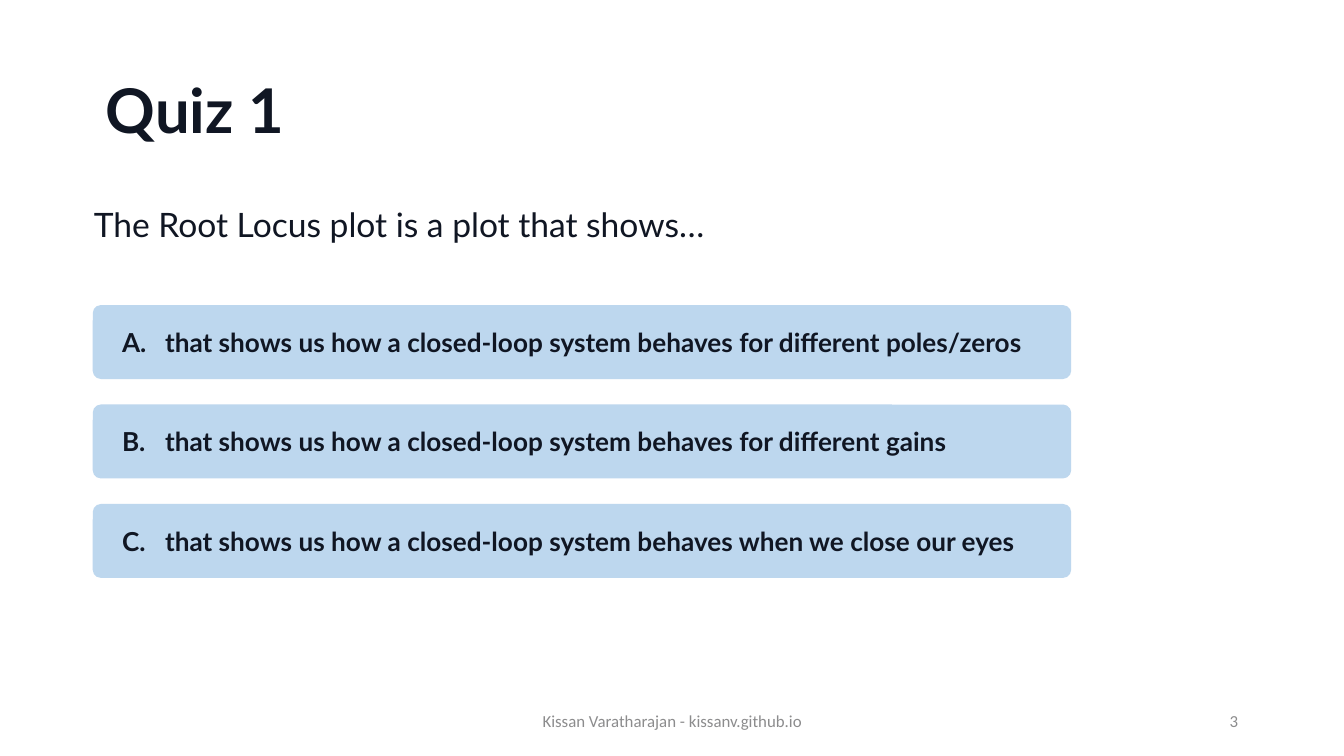
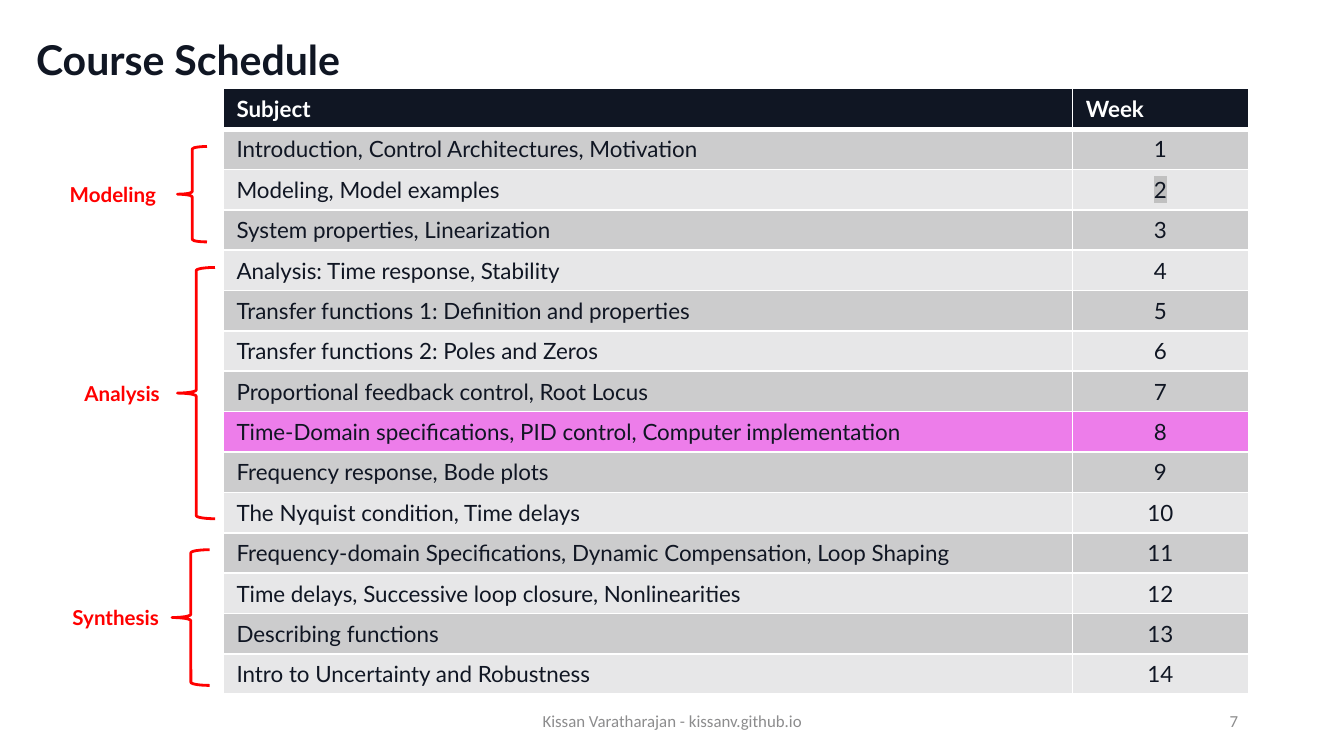
from dataclasses import dataclass

from lxml.etree import SubElement
from pptx import Presentation
from pptx.dml.color import RGBColor as Rgb
from pptx.enum.shapes import MSO_SHAPE as Preset
from pptx.enum.text import MSO_ANCHOR as Anchor, PP_ALIGN as Align
from pptx.oxml.ns import qn
from pptx.util import Inches, Pt

# Content
FOOTER = "Kissan Varatharajan - kissanv.github.io"
QUIZ = {
    "title": "Quiz 1",
    "page": 3,
    "question": "The Root Locus plot is a plot that shows…",
    "answers": [
        "that shows us how a closed-loop system behaves for different poles/zeros",
        "that shows us how a closed-loop system behaves for different gains",
        "that shows us how a closed-loop system behaves when we close our eyes",
    ],
}
SCHEDULE = {
    "title": "Course Schedule",
    "page": 7,
    "header": ("Subject", "Week"),
    "subjects": [
        "Introduction, Control Architectures, Motivation",
        "Modeling, Model examples",
        "System properties, Linearization",
        "Analysis: Time response, Stability",
        "Transfer functions 1: Definition and properties",
        "Transfer functions 2: Poles and Zeros",
        "Proportional feedback control, Root Locus",
        "Time-Domain specifications, PID control, Computer implementation",
        "Frequency response, Bode plots",
        "The Nyquist condition, Time delays",
        "Frequency-domain Specifications, Dynamic Compensation, Loop Shaping",
        "Time delays, Successive loop closure, Nonlinearities",
        "Describing functions",
        "Intro to Uncertainty and Robustness",
    ],
    "current_week": 8,
    "marked_week": 2,
    # name, first week, last week, label width, brace left, brace width, gap below brace
    "phases": [
        ("Modeling", 1, 3, 0.9, 1.32, 0.22, 0.06),
        ("Analysis", 4, 10, 0.79, 1.32, 0.28, 0.1),
        ("Synthesis", 11, 14, 0.88, 1.28, 0.28, 0.06),
    ],
}


@dataclass(frozen=True)
class Theme:
    font: str = "Lato"
    footer_font: str = "Calibri"
    ink: str = "101623"
    white: str = "FFFFFF"
    muted: str = "8C8C8D"
    answer: str = "BDD7EE"
    bands: tuple = ("E7E7E8", "CCCCCD")
    current: str = "ED7DEA"
    marker: str = "C0C0C0"
    phase: str = "FF0000"
    quiz_title: int = 33
    schedule_title: int = 22
    question: int = 18
    option: int = 14
    cell: int = 12
    label: int = 11
    footer: int = 9


THEME = Theme()
WIDTH = 10
HEIGHT = WIDTH * 9 / 16
MARGIN = 0.69


# Shared helpers
def style(paragraph, size, color=THEME.ink, bold=False, font=THEME.font, align=None):
    paragraph.alignment = align
    for run in paragraph.runs:
        run.font.name, run.font.size, run.font.bold = font, Pt(size), bold
        run.font.color.rgb = Rgb.from_string(color)


def add_text(slide, text, at, size, anchor=Anchor.MIDDLE, wrap=True, spacing=None, **look):
    frame = slide.shapes.add_textbox(*map(Inches, at)).text_frame
    frame.word_wrap = wrap
    frame.vertical_anchor = anchor
    frame.text = text
    frame.paragraphs[0].line_spacing = spacing
    style(frame.paragraphs[0], size, **look)


def add_preset(slide, preset, at):
    shape = slide.shapes.add_shape(preset, *map(Inches, at))
    shape.shadow.inherit = False
    return shape


def add_page(deck, content, title_left, title_top, title_size):
    slide = deck.slides.add_slide(deck.slide_layouts[6])
    add_text(slide, content["title"], (title_left, title_top, 8.62, 1.09),
             title_size, spacing=0.9, bold=True)
    footer = dict(size=THEME.footer, color=THEME.muted, font=THEME.footer_font)
    add_text(slide, FOOTER, (3.31, 5.21, 3.38, 0.3), align=Align.CENTER, **footer)
    add_text(slide, str(content["page"]), (WIDTH - MARGIN - 2.25, 5.21, 2.25, 0.3),
             align=Align.RIGHT, **footer)
    return slide


# Quiz slide
def add_answer(slide, index, answer):
    bar = add_preset(slide, Preset.ROUNDED_RECTANGLE,
                     (MARGIN, 2.27 + 0.74 * index, 7.28, 0.55))
    bar.adjustments[0] = 0.11
    bar.fill.solid()
    bar.fill.fore_color.rgb = Rgb.from_string(THEME.answer)
    bar.line.fill.background()
    frame = bar.text_frame
    frame.margin_left = Inches(0.2)
    frame.vertical_anchor = Anchor.MIDDLE
    frame.text = f"{'ABC'[index]}.\t{answer}"
    paragraph = frame.paragraphs[0]
    tabs = SubElement(paragraph._p.get_or_add_pPr(), qn("a:tabLst"))
    SubElement(tabs, qn("a:tab"), pos=str(Inches(0.32)), algn="l")
    style(paragraph, THEME.option, bold=True, align=Align.LEFT)


def build_quiz(deck):
    slide = add_page(deck, QUIZ, MARGIN, 0.3, THEME.quiz_title)
    add_text(slide, QUIZ["question"], (0.6, 1.5, WIDTH - 0.6, 3.57),
             THEME.question, anchor=Anchor.TOP, spacing=0.9)
    for index, answer in enumerate(QUIZ["answers"]):
        add_answer(slide, index, answer)


# Schedule slide
TABLE_LEFT, TABLE_TOP, ROW = 1.66, 0.66, 0.3
COLUMNS = (6.32, 1.31)


def add_borders(cell, week):
    weights = {"L": 1, "R": 1, "T": 3 if week == 1 else 1, "B": 3 if week == 0 else 1}
    for side, weight in weights.items():
        line = SubElement(cell._tc.get_or_add_tcPr(), qn(f"a:ln{side}"), w=str(Pt(weight)))
        SubElement(SubElement(line, qn("a:solidFill")), qn("a:srgbClr"), val=THEME.white)


def mark(run):
    properties = run._r.get_or_add_rPr()
    highlight = SubElement(properties, qn("a:highlight"))
    SubElement(highlight, qn("a:srgbClr"), val=THEME.marker)
    properties.find(qn("a:solidFill")).addnext(highlight)


def add_schedule_table(slide):
    rows = [SCHEDULE["header"]]
    rows += [(subject, str(week)) for week, subject in enumerate(SCHEDULE["subjects"], 1)]
    table = slide.shapes.add_table(
        len(rows), len(COLUMNS), Inches(TABLE_LEFT), Inches(TABLE_TOP),
        Inches(sum(COLUMNS)), Inches(ROW * len(rows))).table
    for column, width in zip(table.columns, COLUMNS):
        column.width = Inches(width)
    for week, texts in enumerate(rows):
        header = week == 0
        fill = THEME.ink if header else THEME.bands[week % 2]
        if week == SCHEDULE["current_week"]:
            fill = THEME.current
        for column, text in enumerate(texts):
            cell = table.cell(week, column)
            add_borders(cell, week)
            cell.fill.solid()
            cell.fill.fore_color.rgb = Rgb.from_string(fill)
            cell.text = text
            style(cell.text_frame.paragraphs[0], THEME.cell,
                  color=THEME.white if header else THEME.ink, bold=header,
                  align=Align.CENTER if column and not header else None)
    mark(table.cell(SCHEDULE["marked_week"], 1).text_frame.paragraphs[0].runs[0])


def add_phase(slide, name, first, last, label_width, left, width, gap):
    top = TABLE_TOP + ROW * first + 0.13
    bottom = TABLE_TOP + ROW * (last + 1) - gap
    brace = add_preset(slide, Preset.LEFT_BRACE, (left, top, width, bottom - top))
    brace.fill.background()
    brace.line.color.rgb = Rgb.from_string(THEME.phase)
    brace.line.width = Pt(1.5)
    add_text(slide, name, (1.32 - label_width, (top + bottom - 0.29) / 2, label_width, 0.29),
             THEME.label, wrap=False, color=THEME.phase, bold=True)


def build_schedule(deck):
    slide = add_page(deck, SCHEDULE, 0.17, -0.08, THEME.schedule_title)
    add_schedule_table(slide)
    for phase in SCHEDULE["phases"]:
        add_phase(slide, *phase)


def main():
    deck = Presentation()
    deck.slide_width, deck.slide_height = Inches(WIDTH), Inches(HEIGHT)
    build_quiz(deck)
    build_schedule(deck)
    deck.save("out.pptx")


if __name__ == "__main__":
    main()
